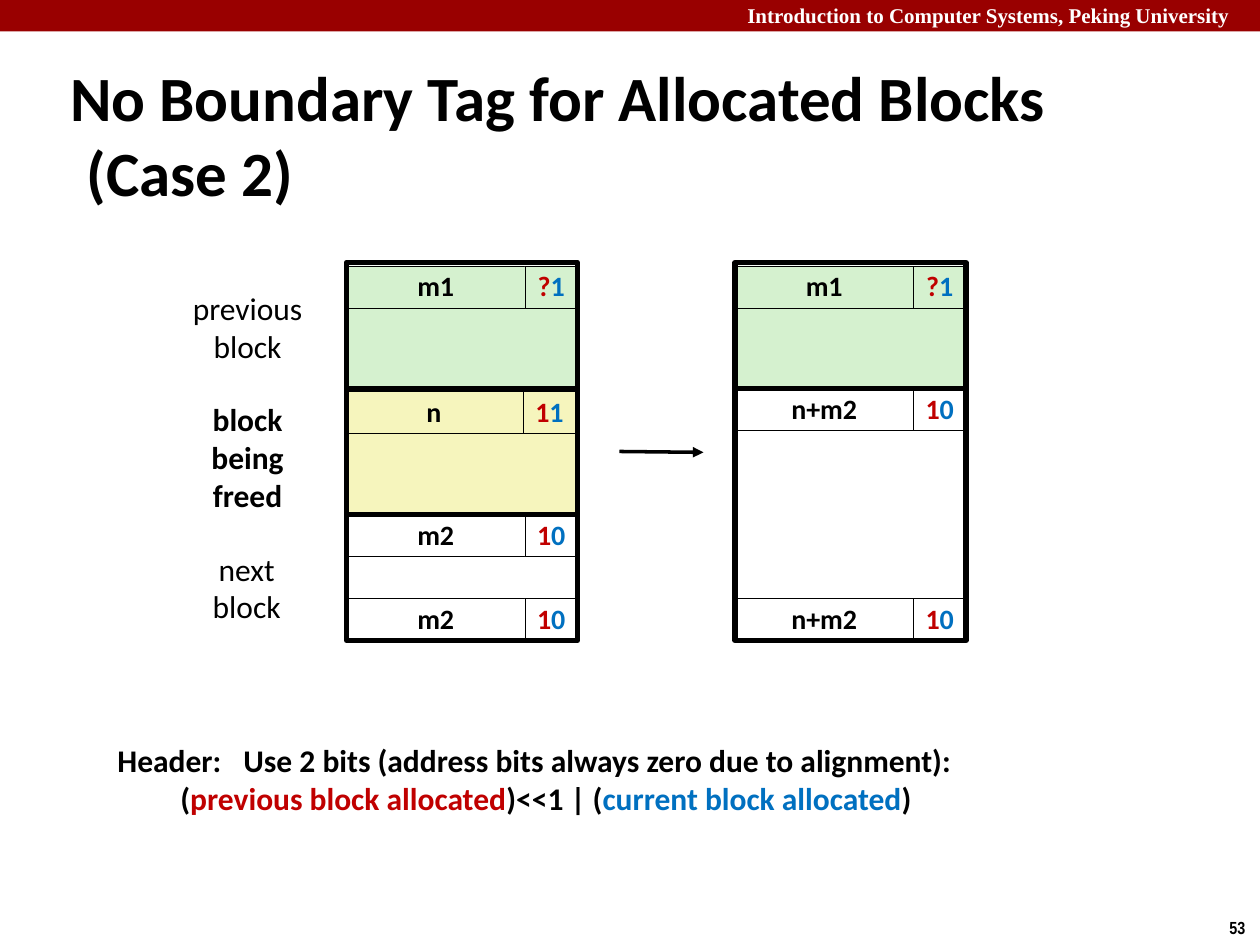
from pptx import Presentation
from pptx.dml.color import RGBColor
from pptx.enum.shapes import MSO_CONNECTOR as CONN, MSO_SHAPE as SHAPE
from pptx.enum.text import MSO_ANCHOR as ANCHOR, PP_ALIGN as ALIGN
from pptx.oxml.ns import qn
from pptx.util import Pt
from lxml import etree

BLACK = RGBColor(0x00, 0x00, 0x00)
WHITE = RGBColor(0xFF, 0xFF, 0xFF)
BANNER = RGBColor(0x99, 0x00, 0x00)
RED = RGBColor(0xC0, 0x00, 0x00)
BLUE = RGBColor(0x00, 0x70, 0xC0)
GREEN = RGBColor(0xD5, 0xF1, 0xCF)
YELLOW = RGBColor(0xF6, 0xF5, 0xBD)

prs = Presentation()
prs.slide_width, prs.slide_height = Pt(720), Pt(540)
s = prs.slides.add_slide(prs.slide_layouts[6])


def add_rect(x, y, w, h, fill=None, line=0.25):
    sp = s.shapes.add_shape(SHAPE.RECTANGLE, Pt(x), Pt(y), Pt(w), Pt(h))
    sp.shadow.inherit = False
    if fill is None:
        sp.fill.background()
    else:
        sp.fill.solid()
        sp.fill.fore_color.rgb = fill
    if line:
        sp.line.color.rgb = BLACK
        sp.line.width = Pt(line)
    else:
        sp.line.fill.background()
    return sp


def write(sp, lines, size, bold=True, font="Calibri", align=ALIGN.LEFT, wrap=False):
    """Fill the first paragraph; each line is a list of (text, colour) runs."""
    tf = sp.text_frame
    tf.word_wrap = wrap
    p = tf.paragraphs[0]
    p.alignment = align
    for i, line in enumerate(lines):
        if i:
            p.add_line_break()
        for text, color in line:
            r = p.add_run()
            r.text = text
            r.font.size, r.font.bold, r.font.name = Pt(size), bold, font
            r.font.color.rgb = color
    return p


# Banner and page number
add_rect(0, 0, 720, 18, BANNER, line=0)
sp = s.shapes.add_textbox(Pt(420), Pt(-2), Pt(305), Pt(22))
write(sp, [[("Introduction to Computer Systems, Peking University", WHITE)]],
      12, font="Times New Roman", wrap=True)
sp = s.shapes.add_textbox(Pt(695.5), Pt(520.5), Pt(24.5), Pt(19.5))
write(sp, [[("53", BLACK)]], 10, font="Arial Narrow")

# Title with a hanging indent
sp = s.shapes.add_textbox(Pt(33), Pt(54), Pt(654), Pt(45))
sp.text_frame.vertical_anchor = ANCHOR.MIDDLE
p = write(sp, [[("No Boundary Tag for Allocated Blocks (Case 2)", BLACK)]], 36, wrap=True)
pPr = p._p.get_or_add_pPr()
pPr.set("marL", str(Pt(9.5)))
pPr.set("indent", str(-Pt(9.5)))

# Memory columns: before and after freeing
LEFT, RIGHT = 198, 420
BLOCK_W, SIZE_W, BITS_W, ROW_H = 132, 102, 30, 24

# Block bodies: x, y, height, fill
bodies = [
    (LEFT, 175.5, 48, GREEN),
    (LEFT + 0.5, 245, 48, YELLOW),
    (LEFT, 318, ROW_H, WHITE),
    (RIGHT, 175, 48, GREEN),
    (RIGHT, 246, 96, WHITE),
]
for x, y, h, fill in bodies:
    add_rect(x, y, BLOCK_W, h, fill)

# Headers and footers: x, y, size, previous bit, current bit, fill
tags = [
    (LEFT, 152, "m1", "?", "1", GREEN),
    (LEFT - 1, 223.5, "n", "1", "1", YELLOW),
    (LEFT, 294, "m2", "1", "0", WHITE),
    (LEFT, 342, "m2", "1", "0", WHITE),
    (RIGHT, 152, "m1", "?", "1", GREEN),
    (RIGHT, 222, "n+m2", "1", "0", WHITE),
    (RIGHT, 342, "n+m2", "1", "0", WHITE),
]
for x, y, size, prev_bit, cur_bit, fill in tags:
    cells = [
        (x, SIZE_W, [(size, BLACK)]),
        (x + SIZE_W, BITS_W, [(prev_bit, RED), (cur_bit, BLUE)]),
    ]
    for cell_x, w, runs in cells:
        sp = add_rect(cell_x, y, w, ROW_H, fill)
        sp.text_frame.vertical_anchor = ANCHOR.MIDDLE
        write(sp, [runs], 16, align=ALIGN.CENTER).line_spacing = 0.98

# Thick block outlines
for x, y, h in [(LEFT, 150, 72), (LEFT, 222, 72), (LEFT, 294, 72),
                (RIGHT, 150, 72), (RIGHT, 222, 144)]:
    add_rect(x, y, BLOCK_W, h, line=3)

# Arrow between the columns
arrow = s.shapes.add_connector(CONN.STRAIGHT, Pt(354), Pt(258), Pt(402), Pt(258.5))
arrow.line.color.rgb = BLACK
arrow.line.width = Pt(2)
etree.SubElement(arrow.line._get_or_add_ln(), qn("a:tailEnd"), type="triangle")
etree.SubElement(arrow._element.spPr, qn("a:effectLst"))

# Block labels
labels = [
    (102, 161.5, 79, 51, ["previous", "block"], False),
    (113.5, 225, 56, 73, ["block", "being", "freed"], True),
    (113.5, 310.5, 55, 51, ["next", "block"], False),
]
for x, y, w, h, words, bold in labels:
    sp = s.shapes.add_textbox(Pt(x), Pt(y), Pt(w), Pt(h))
    write(sp, [[(word, BLACK)] for word in words], 18, bold, align=ALIGN.CENTER)

# Header explanation
sp = s.shapes.add_textbox(Pt(60), Pt(420), Pt(508), Pt(51))
write(sp, [
    [("Header: \tUse 2 bits (address bits always zero due to alignment):", BLACK)],
    [("\t(", BLACK), ("previous block allocated", RED), (")<<1 | (", BLACK),
     ("current block allocated", BLUE), (")", BLACK)],
], 18)

prs.save("out.pptx")
